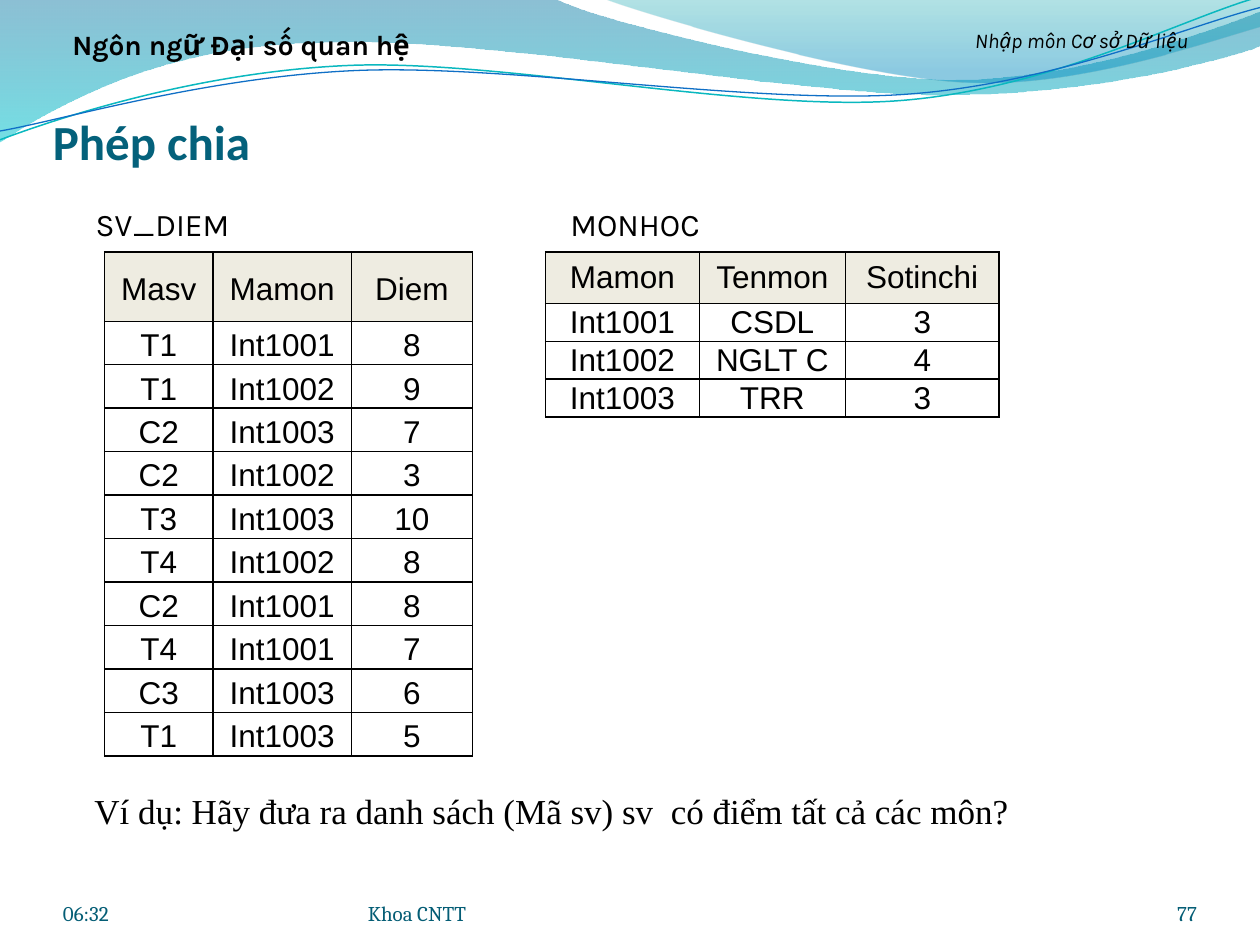
import pptx
import pptx.util
import pptx.dml.color
import pptx.enum.text
import pptx.oxml
import pptx.oxml.ns
from pptx.util import Inches

ALIGN = pptx.enum.text.PP_ALIGN
ANCHOR = pptx.enum.text.MSO_ANCHOR
COLORS = {
    "black": "000000", "header": "EEECE1", "title": "04617B", "footer": "045D75",
    "deep blue": "0074A1", "cyan": "00C6CF", "teal": "00A1A9", "blue": "008BBF",
    "teal line": "0AB8BF", "blue line": "0F6FC6",
}

BANDS = [
    ([(0, -0.01), (4.4, -0.01),
      (4.76, 0.17, 6.64, 0.63, 7.58, 0.63), (8.53, 0.63, 9.58, 0.26, 10, 0.09),
      (10.01, 0.36),
      (9.83, 0.44, 8.7, 0.76, 7.46, 0.75), (6.22, 0.75, 3.82, 0.28, 2.57, 0.34),
      (1.29, 0.35, 0.46, 0.83, -0.01, 1.13)],
     [("deep blue", 0, 45), ("cyan", 1, 55)]),
    ([(4.79, -0.01), (5.09, 0.11, 6.82, 0.62, 7.69, 0.65),
      (8.56, 0.69, 9.61, 0.32, 10, 0.21), (10, 0)],
     [("teal", 0, 30), ("blue", 0.8, 45)]),
]
WAVES = [
    ([(0, 1.11), (0.48, 0.93, 1.58, 0.57, 2.77, 0.52),
      (3.95, 0.47, 5.93, 0.89, 7.13, 0.8), (8.33, 0.71, 9.38, 0.15, 9.98, -0.02)],
     "teal line", 0.85),
    ([(0, 1.04), (0.47, 0.96, 1.64, 0.61, 2.83, 0.56),
      (4.03, 0.51, 5.97, 0.83, 7.17, 0.75), (8.36, 0.67, 9.41, 0.21, 10, 0.06)],
     "blue line", 0.75),
]

TITLE = "Phép chia"
FOOTERS = [
    ("06:32", (0.5, 6.95, 2.33, 0.4), ALIGN.LEFT),
    ("77", (8.67, 6.95, 0.83, 0.4), ALIGN.RIGHT),
    ("Khoa CNTT", (2.92, 6.95, 3.67, 0.4), ALIGN.LEFT),
]
LABELS = [
    ("Nhập môn Cơ sở Dữ liệu", (7.17, 0.17, 2.83, 0.38), 12, False, True),
    ("Ngôn ngữ Đại số quan hệ", (0.25, 0.17, 3.33, 0.37), 16, True, False),
    ("SV_DIEM", (0.58, 1.58, 1.42, 0.4), 18, False, False),
    ("MONHOC", (4.33, 1.58, 1.42, 0.4), 18, False, False),
]
QUESTION = "Ví dụ: Hãy đưa ra danh sách (Mã sv) sv  có điểm tất cả các môn?"
SCORES = [
    ("Masv", "Mamon", "Diem"),
    ("T1", "Int1001", "8"), ("T1", "Int1002", "9"), ("C2", "Int1003", "7"),
    ("C2", "Int1002", "3"), ("T3", "Int1003", "10"), ("T4", "Int1002", "8"),
    ("C2", "Int1001", "8"), ("T4", "Int1001", "7"), ("C3", "Int1003", "6"),
    ("T1", "Int1003", "5"),
]
SUBJECTS = [
    ("Mamon", "Tenmon", "Sotinchi"),
    ("Int1001", "CSDL", "3"), ("Int1002", "NGLT C", "4"), ("Int1003", "TRR", "3"),
]
TABLES = [
    (SCORES, 0.83, [0.86, 1.1, 0.96], 0.55, 4, 1.15),
    (SUBJECTS, 4.33, [1.22, 1.16, 1.22], 0.41, 1.31, 1),
]


def rgb(name):
    return pptx.dml.color.RGBColor.from_string(COLORS[name])


def add_outline(slide, steps, close):
    points = [(Inches(x), Inches(y)) for step in steps for x, y in zip(step[::2], step[1::2])]
    builder = slide.shapes.build_freeform(*points[0])
    builder.add_line_segments(points[1:], close=close)
    shape = builder.convert_to_shape()
    shape.shadow.inherit = False
    segments = iter(list(shape._element.iter(pptx.oxml.ns.qn("a:lnTo"))))
    for step in steps[1:]:
        segment = next(segments)
        if len(step) == 6:
            curve = pptx.oxml.parse_xml(f'<a:cubicBezTo {pptx.oxml.ns.nsdecls("a")}/>')
            segment.addprevious(curve)
            for part in (segment, next(segments), next(segments)):
                curve.append(part[0])
                part.getparent().remove(part)
    return shape


def add_band(slide, steps, stops):
    shape = add_outline(slide, steps, True)
    shape.line.fill.background()
    shape.fill.gradient()
    shape.fill.gradient_angle = 270
    for stop, (color, position, opacity) in zip(shape.fill.gradient_stops, stops):
        stop.color.rgb = rgb(color)
        stop.position = position
    elements = shape._element.spPr.iter(pptx.oxml.ns.qn("a:srgbClr"))
    for element, (color, position, opacity) in zip(elements, stops):
        alpha = pptx.oxml.parse_xml(f'<a:alpha {pptx.oxml.ns.nsdecls("a")} val="{opacity * 1000}"/>')
        element.append(alpha)


def add_wave(slide, steps, color, width):
    shape = add_outline(slide, steps, False)
    shape.fill.background()
    shape.line.color.rgb = rgb(color)
    shape.line.width = pptx.util.Pt(width)


def style(paragraph, font_name, size, color, align, bold=False, italic=False):
    paragraph.alignment = align
    font = paragraph.font
    font.name, font.size = font_name, pptx.util.Pt(size)
    font.bold, font.italic = bold, italic
    font.color.rgb = rgb(color)


def fill_box(shape, text, box, anchor, insets, *text_style):
    shape.left, shape.top, shape.width, shape.height = map(Inches, box)
    frame = shape.text_frame
    frame.word_wrap = True
    frame.auto_size = pptx.enum.text.MSO_AUTO_SIZE.NONE
    frame.vertical_anchor = anchor
    frame.margin_left, frame.margin_top, frame.margin_right, frame.margin_bottom = map(Inches, insets)
    frame.text = text
    style(frame.paragraphs[0], *text_style)


def add_text(slide, text, box, *settings):
    shape = slide.shapes.add_textbox(*map(Inches, box))
    fill_box(shape, text, box, *settings)


def add_borders(cell):
    properties = cell._tc.get_or_add_tcPr()
    for index, side in enumerate(("lnL", "lnR", "lnT", "lnB")):
        properties.insert(index, pptx.oxml.parse_xml(
            f'<a:{side} {pptx.oxml.ns.nsdecls("a")} w="12700"><a:solidFill>'
            f'<a:srgbClr val="{COLORS["black"]}"/></a:solidFill></a:{side}>'))


def add_grid(slide, rows, left, widths, header_height, height, line_spacing):
    frame = slide.shapes.add_table(len(rows), len(widths), Inches(left), Inches(2),
                                   Inches(sum(widths)), Inches(height))
    table = frame.table
    table.first_row = table.horz_banding = False
    for column, width in zip(table.columns, widths):
        column.width = Inches(width)
    body_height = (height - header_height) / (len(rows) - 1)
    for row_index, values in enumerate(rows):
        table.rows[row_index].height = Inches(body_height if row_index else header_height)
        for column_index, value in enumerate(values):
            cell = table.cell(row_index, column_index)
            cell.text = value
            cell.vertical_anchor = ANCHOR.MIDDLE
            cell.margin_left = cell.margin_right = Inches(0.07)
            cell.margin_top = cell.margin_bottom = 0
            paragraph = cell.text_frame.paragraphs[0]
            paragraph.line_spacing = float(line_spacing)
            style(paragraph, "Arial", 18, "black", ALIGN.CENTER)
            if row_index:
                cell.fill.background()
            else:
                cell.fill.solid()
                cell.fill.fore_color.rgb = rgb("header")
            add_borders(cell)


def main():
    presentation = pptx.Presentation()
    presentation.slide_width, presentation.slide_height = Inches(10), Inches(7.5)
    slide = presentation.slides.add_slide(presentation.slide_layouts[5])
    for band in BANDS:
        add_band(slide, *band)
    for wave in WAVES:
        add_wave(slide, *wave)
    for text, box, align in FOOTERS:
        add_text(slide, text, box, ANCHOR.BOTTOM, (0, 0, 0, 0), "Cambria", 12, "footer", align)
    for text, box, size, bold, italic in LABELS:
        add_text(slide, text, box, ANCHOR.TOP, (0.1, 0.05, 0.1, 0.05),
                 "Karla", size, "black", ALIGN.CENTER, bold, italic)
    for grid in TABLES:
        add_grid(slide, *grid)
    heading_insets = (0, 0.05, 0, 0)
    fill_box(slide.shapes.title, TITLE, (0.42, 0.67, 9, 0.68), ANCHOR.BOTTOM, heading_insets,
             "Calibri", 28, "title", ALIGN.LEFT, True)
    add_text(slide, QUESTION, (0.75, 5.92, 9, 0.68), ANCHOR.BOTTOM, heading_insets,
             "Times New Roman", 20, "black", ALIGN.LEFT)
    presentation.save("out.pptx")


if __name__ == "__main__":
    main()
